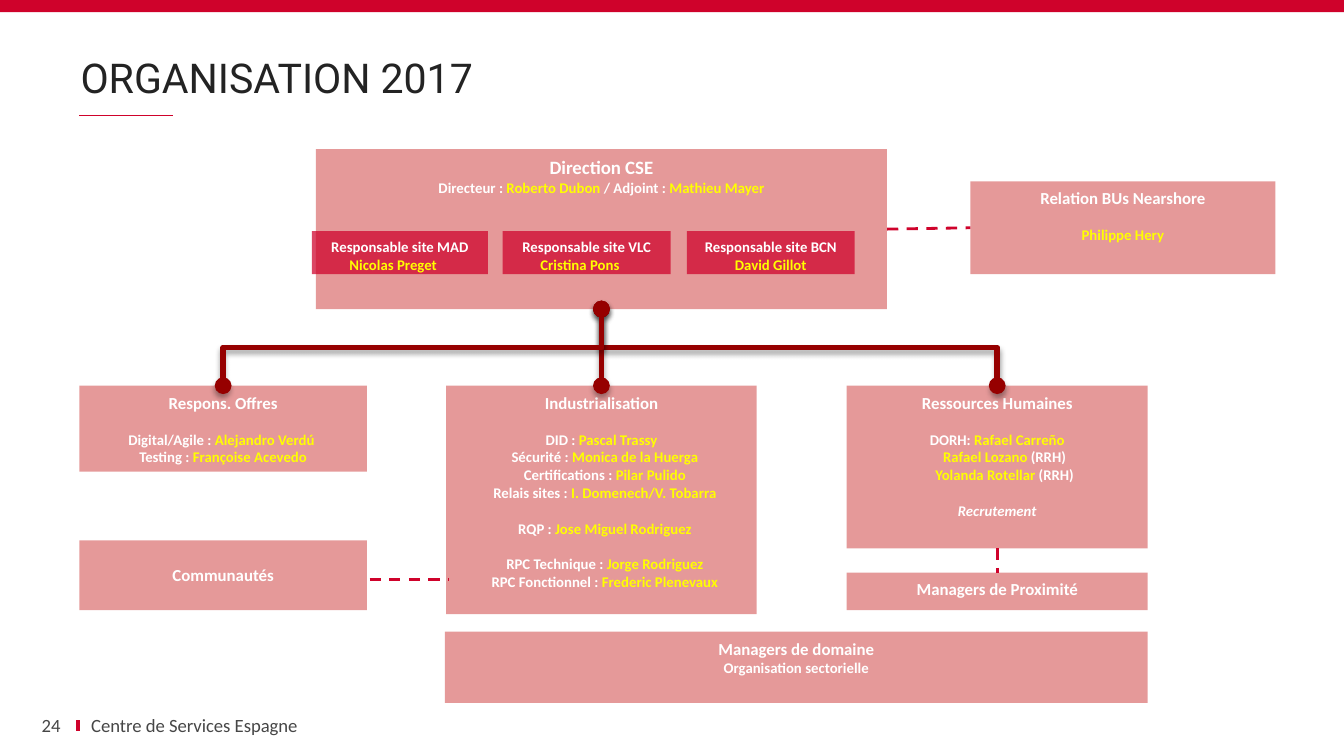
from dataclasses import dataclass
from lxml import etree
from pptx import Presentation
from pptx import util as u
from pptx.dml.color import RGBColor
from pptx.enum import dml, shapes, text
from pptx.oxml.ns import qn


@dataclass
class Theme:
    red: str = "CF022B"
    box: str = "C00000"
    trunk: str = "960000"
    white: str = "FFFFFF"
    person: str = "FFFF00"
    title: str = "232323"
    footer: str = "464646"
    body_font: str = "Calibri"
    title_font: str = "Roboto"
    title_size: float = 22
    footer_size: float = 10
    lead_size: float = 10.1
    head_size: float = 9
    body_size: float = 7.9


@dataclass
class Line:
    """Runs alternate between plain wording and a person's name."""
    runs: tuple
    size: float = Theme.body_size
    gap: bool = False
    left: float = 0
    right: float = 0
    italic: bool = False


T = Theme()
BLANK_LINE = 9.6  # points, one empty body line
WIDTH = 10
HEIGHT = WIDTH * 9 / 16

# Grid: (left, width) of columns, (top, height) of rows, in inches
COLS = {
    "offers": (0.59, 2.14), "industry": (3.32, 2.31), "people": (6.3, 2.24),
    "direction": (2.35, 4.25), "nearshore": (7.22, 2.27), "domain": (3.31, 5.23),
    "MAD": (2.32, 1.31), "VLC": (3.74, 1.25), "BCN": (5.11, 1.25),
}
TEAM_TOP = 2.87
SITE_ROW = (1.72, 0.32)


def head(label, size=T.head_size):
    return Line((label,), size)


def site(code, name, right=0.0):
    return (code, SITE_ROW, [Line((f"Responsable site {code}",)), Line(("", name), right=right)])


def role(label, name, gap=False):
    return Line((label, name), gap=gap, left=0.05)


UNITS = {
    "industry": ("industry", (TEAM_TOP, 1.7), [
        head("Industrialisation"),
        Line(("DID : ", "Pascal Trassy"), gap=True),
        role("Sécurité : ", "Monica de la Huerga"),
        role("Certifications : ", "Pilar Pulido"),
        role("Relais sites : ", "I. Domenech/V. Tobarra"),
        role("RQP : ", "Jose Miguel Rodriguez", gap=True),
        role("RPC Technique : ", "Jorge Rodriguez", gap=True),
        role("RPC Fonctionnel : ", "Frederic Plenevaux")]),
    "people": ("people", (TEAM_TOP, 1.21), [
        head("Ressources Humaines"),
        Line(("DORH: ", "Rafael Carreño"), gap=True),
        Line(("", "Rafael Lozano ", "(RRH)"), left=0.11),
        Line(("", "Yolanda Rotellar ", "(RRH)"), left=0.11),
        Line(("Recrutement",), gap=True, italic=True)]),
    "communities": ("offers", (4.02, 0.52), [head("Communautés")]),
    "proximity": ("people", (4.26, 0.28), [head("Managers de Proximité")]),
    "direction": ("direction", (1.11, 1.19), [
        head("Direction CSE", T.lead_size),
        Line(("Directeur : ", "Roberto Dubon ", "/ Adjoint : ", "Mathieu Mayer"))]),
    "nearshore": ("nearshore", (1.35, 0.69), [
        head("Relation BUs Nearshore"), Line(("", "Philippe Hery"), gap=True)]),
    "domain": ("domain", (4.7, 0.53), [
        head("Managers de domaine"), Line(("Organisation sectorielle",))]),
    "offers": ("offers", (TEAM_TOP, 0.64), [
        head("Respons. Offres"),
        Line(("Digital/Agile : ", "Alejandro Verdú "), gap=True),
        Line(("Testing : ", "Françoise Acevedo"))]),
}
SITES = [site("MAD", "Nicolas Preget", 0.1), site("VLC", "Cristina Pons", 0.1),
         site("BCN", "David Gillot")]
LABELS = [  # wording, place, side inset, font, size, colour, alignment, anchor
    ("ORGANISATION 2017", (0.6, 0.16, 8.8, 0.65), 0, T.title_font, T.title_size, T.title,
     text.PP_ALIGN.LEFT, text.MSO_ANCHOR.BOTTOM),
    ("24", (0.13, 5.33, 0.32, 0.13), 0, T.body_font, T.footer_size, T.footer,
     text.PP_ALIGN.RIGHT, text.MSO_ANCHOR.MIDDLE),
    ("Centre de Services Espagne", (0.58, 5.33, 4.97, 0.13), 0.1, T.body_font, T.footer_size,
     T.footer, text.PP_ALIGN.LEFT, text.MSO_ANCHOR.MIDDLE),
]

prs = Presentation()
prs.slide_width, prs.slide_height = u.Inches(WIDTH), u.Inches(HEIGHT)
slide = prs.slides.add_slide(prs.slide_layouts[6])


def rgb(code):
    return RGBColor.from_string(code)


def add_rect(place, color, opacity=100):
    rect = slide.shapes.add_shape(shapes.MSO_SHAPE.RECTANGLE, *map(u.Inches, place))
    rect.shadow.inherit = False
    rect.fill.solid()
    rect.fill.fore_color.rgb = rgb(color)
    rect.line.fill.background()
    if opacity < 100:
        tint = rect.fill._xPr.find(".//" + qn("a:srgbClr"))
        etree.SubElement(tint, qn("a:alpha"), val=str(opacity * 1000))
    return rect


def add_unit(column, row, lines, color=T.box, opacity=40):
    (left, width), (top, height) = COLS[column], row
    rect = add_rect((left, top, width, height), color, opacity)
    frame = rect.text_frame
    frame.word_wrap = True
    frame.vertical_anchor = text.MSO_ANCHOR.TOP
    for i, line in enumerate(lines):
        para = frame.add_paragraph() if i else frame.paragraphs[0]
        para.alignment = text.PP_ALIGN.CENTER
        props = para._p.get_or_add_pPr()
        for side, margin in (("marL", line.left), ("marR", line.right)):
            if margin:
                props.set(side, str(u.Inches(margin)))
        if line.gap:
            para.space_before = u.Pt(BLANK_LINE)
        font = para.font
        font.name, font.size, font.bold = T.body_font, u.Pt(line.size), True
        font.italic = line.italic
        for j, words in enumerate(line.runs):
            if words:
                run = para.add_run()
                run.text = words
                run.font.color.rgb = rgb(T.person if j % 2 else T.white)
    return rect


def add_line(start, end, color=T.red, weight=1.5, dashed=False,
             kind=shapes.MSO_CONNECTOR.STRAIGHT):
    line = slide.shapes.add_connector(kind, *map(u.Inches, (*start, *end)))
    line.line.color.rgb = rgb(color)
    line.line.width = u.Pt(weight)
    if dashed:
        line.line.dash_style = dml.MSO_LINE.DASH
    etree.SubElement(line._element.spPr, qn("a:effectLst"))
    return line


def join(line, start, start_side, end, end_side):
    line.begin_connect(start, start_side)
    line.end_connect(end, end_side)


def add_branch(parent, child):
    """Link a parent's bottom to a child's top, with round ends and a soft shadow."""
    x1, y1 = parent.left + parent.width // 2, parent.top + parent.height
    x2, y2 = child.left + child.width // 2, child.top
    straight = abs(x2 - x1) < u.Inches(0.02)
    kinds = shapes.MSO_CONNECTOR
    line = add_line((0, 0), (1, 1), T.trunk, 3, kind=kinds.STRAIGHT if straight else kinds.ELBOW)
    join(line, parent, 2, child, 0)
    if not straight:  # a quarter turn makes the elbow leave downwards
        run, drop = abs(x2 - x1), y2 - y1
        line.left, line.top = (x1 + x2 - drop) // 2, (y1 + y2 - run) // 2
        line.width, line.height = drop, run
        frame = line._element.spPr.find(qn("a:xfrm"))
        for flip in ("flipH", "flipV"):
            frame.attrib.pop(flip, None)
        frame.set("rot", str((270 if x2 > x1 else 90) * 60000))
        if x2 > x1:
            frame.set("flipH", "1")
    stroke = line.line._get_or_add_ln()
    for end in ("a:headEnd", "a:tailEnd"):
        etree.SubElement(stroke, qn(end), type="oval")
    effects = line._element.spPr.find(qn("a:effectLst"))
    shadow = etree.SubElement(effects, qn("a:outerShdw"), blurRad=str(u.Pt(3.1)),
                              dist=str(u.Pt(1.8)), dir="5400000", rotWithShape="0")
    tint = etree.SubElement(shadow, qn("a:srgbClr"), val="000000")
    etree.SubElement(tint, qn("a:alpha"), val="35000")


def add_label(words, place, inset, font_name, size, color, align, anchor):
    frame = slide.shapes.add_textbox(*map(u.Inches, place)).text_frame
    frame.word_wrap = True
    frame.vertical_anchor = anchor
    frame.margin_left = frame.margin_right = u.Inches(inset)
    para = frame.paragraphs[0]
    para.text, para.alignment = words, align
    para.font.name, para.font.size = font_name, u.Pt(size)
    para.font.color.rgb = rgb(color)
    if font_name == T.title_font:
        para.line_spacing = 0.9


add_line((0.58, 5.36), (0.58, 5.44), weight=2.25)
add_line((0.59, 0.86), (1.29, 0.86), weight=1)
add_rect((0, 0, WIDTH, 0.09), T.red)

units = {name: add_unit(*unit) for name, unit in UNITS.items()}
units["communities"].text_frame.vertical_anchor = text.MSO_ANCHOR.MIDDLE
for place in SITES:
    add_unit(*place, color=T.red, opacity=73)
for label in LABELS:
    add_label(*label)

for start, start_side, end, end_side in (("direction", 3, "nearshore", 1),
                                         ("people", 2, "proximity", 0)):
    join(add_line((0, 0), (1, 1), dashed=True), units[start], start_side, units[end], end_side)
add_line((2.75, 4.31), (3.34, 4.31), dashed=True)
for team in ("people", "industry", "offers"):
    add_branch(units["direction"], units[team])

prs.save("out.pptx")
